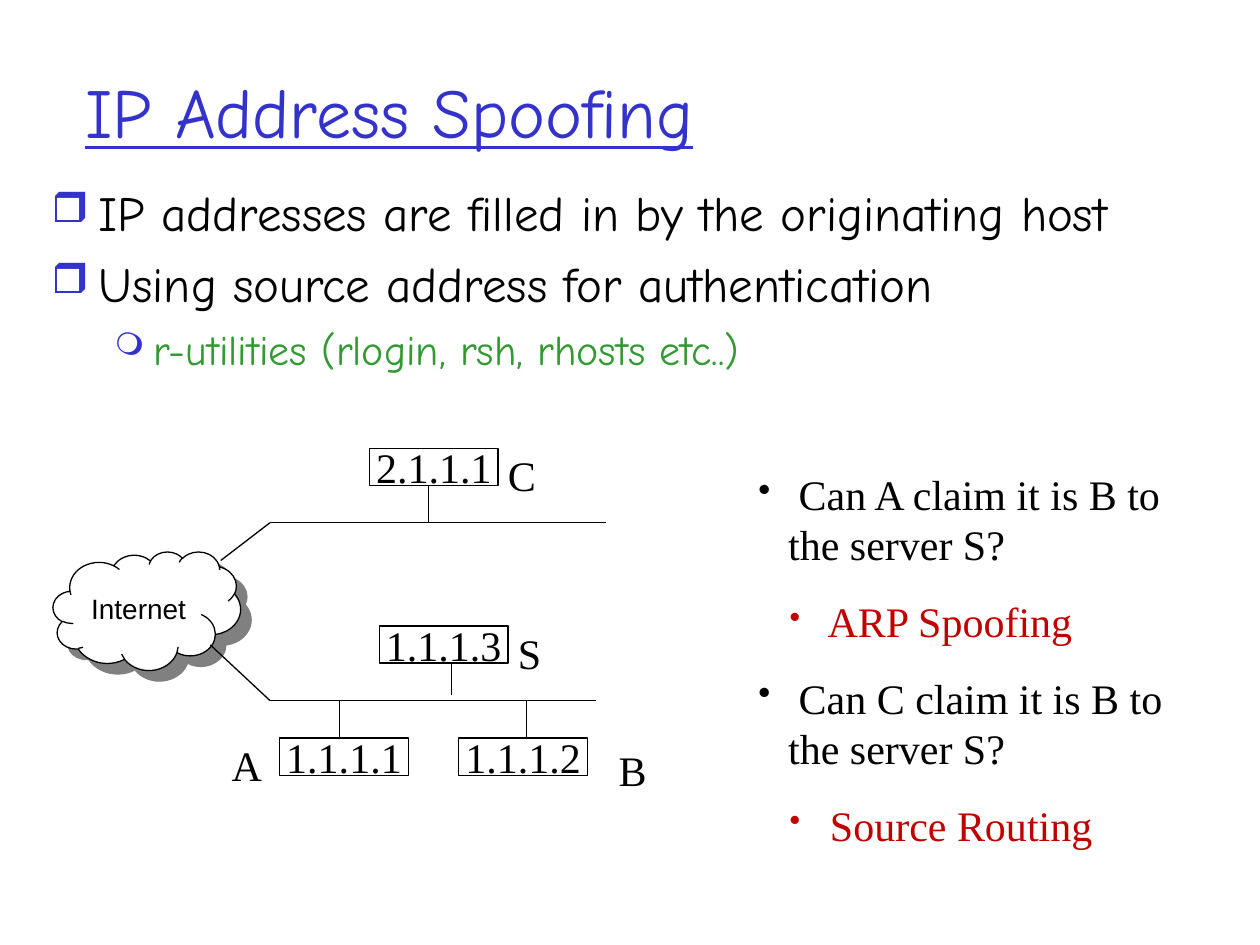
import pptx
import pptx.util
import pptx.dml.color
import pptx.enum.shapes
import pptx.enum.text
import pptx.oxml
import pptx.oxml.ns
from lxml import etree

Cm = pptx.util.Cm
Pt = pptx.util.Pt
RGBColor = pptx.dml.color.RGBColor
SHAPES = pptx.enum.shapes.MSO_SHAPE
ANCHOR = pptx.enum.text.MSO_ANCHOR
ALIGN = pptx.enum.text.PP_ALIGN
qn = pptx.oxml.ns.qn

BLACK = RGBColor(0x00, 0x00, 0x00)
WHITE = RGBColor(0xFF, 0xFF, 0xFF)
GREY = RGBColor(0x80, 0x80, 0x80)
BLUE = RGBColor(0x33, 0x33, 0xCC)
GREEN = RGBColor(0x33, 0x99, 0x33)
RED = RGBColor(0xC0, 0x00, 0x00)

COMIC = "Comic Neue"
TIMES = "Times New Roman"
LINE_WIDTH = Pt(0.74)


def write_text(para, text, color, **formats):
    span = para.add_run()
    span.text = text
    for name, value in formats.items():
        setattr(span.font, name, value)
    span.font.color.rgb = color


def add_text_box(page, left, top, width, height, wrap=True):
    box = page.shapes.add_textbox(Cm(left), Cm(top), Cm(width), Cm(height))
    box.text_frame.word_wrap = wrap
    return box.text_frame


def add_bullet(para, char, color, percent, margin, indent):
    properties = para._p.get_or_add_pPr()
    properties.set("marL", str(Cm(margin)))
    properties.set("indent", str(Cm(indent)))
    bullet_color = etree.SubElement(properties, qn("a:buClr"))
    etree.SubElement(bullet_color, qn("a:srgbClr"), val=str(color))
    etree.SubElement(properties, qn("a:buSzPct"), val=str(percent * 1000))
    etree.SubElement(properties, qn("a:buChar"), char=char)


def add_title(page, left, top, width, height):
    frame = add_text_box(page, left, top, width, height)
    frame.vertical_anchor = ANCHOR.MIDDLE
    write_text(frame.paragraphs[0], "IP Address Spoofing", BLUE,
               name=COMIC, size=Pt(40), underline=True)


def add_bullet_list(page, left, top, width, height, font, levels, items):
    frame = add_text_box(page, left, top, width, height)
    for index, (level, text) in enumerate(items):
        para = frame.paragraphs[0] if index == 0 else frame.add_paragraph()
        style = levels[level]
        para.level = level
        para.space_before = Pt(style["before"])
        add_bullet(para, *style["bullet"])
        write_text(para, text, style["color"], name=font, size=Pt(style["size"]))


def add_outlined(page, kind, left, top, width, height):
    shape = page.shapes.add_shape(kind, Cm(left), Cm(top), Cm(width), Cm(height))
    shape.shadow.inherit = False
    shape.fill.solid()
    shape.fill.fore_color.rgb = WHITE
    shape.line.color.rgb = BLACK
    shape.line.width = LINE_WIDTH
    shape.text_frame.vertical_anchor = ANCHOR.MIDDLE
    shape.text_frame.word_wrap = False
    return shape


def add_cloud(page, left, top, width, height):
    cloud = add_outlined(page, SHAPES.CLOUD, left, top, width, height)
    effects = cloud._element.spPr.find(qn("a:effectLst"))
    shadow = etree.SubElement(effects, qn("a:outerShdw"), dist=str(Pt(8.5)),
                              dir=str(45 * 60000), algn="ctr", rotWithShape="0")
    etree.SubElement(shadow, qn("a:srgbClr"), val=str(GREY))
    para = cloud.text_frame.paragraphs[0]
    para.alignment = ALIGN.LEFT
    write_text(para, "Internet", BLACK, name="Arial", size=Pt(16))


def add_host(page, left, top, address, label, label_x, label_y):
    host = add_outlined(page, SHAPES.RECTANGLE, left, top, 2.59, 0.75)
    para = host.text_frame.paragraphs[0]
    para.alignment = ALIGN.CENTER
    write_text(para, address, BLACK, name=TIMES, size=Pt(24))
    frame = add_text_box(page, left + label_x, top + label_y, 1.07, 1.27, wrap=False)
    write_text(frame.paragraphs[0], label, BLACK, name=TIMES, size=Pt(24))


def add_wire(page, x1, y1, x2, y2):
    wire = page.shapes.add_connector(pptx.enum.shapes.MSO_CONNECTOR.STRAIGHT,
                                     Cm(x1), Cm(y1), Cm(x2), Cm(y2))
    wire.line.color.rgb = BLACK
    wire.line.width = LINE_WIDTH
    etree.SubElement(wire._element.spPr, qn("a:effectLst"))


def add_network(page, left, top):
    bus_start, upper_bus, lower_bus = 4.37, 1.6, 5.18
    lower_hosts = 5.94
    add_cloud(page, left, top + 2.18, 3.78, 2.39)
    wires = [
        (bus_start, upper_bus, 11.15, upper_bus),
        (bus_start, lower_bus, 10.95, lower_bus),
        (bus_start, upper_bus, 3.38, 2.36),
        (3.17, 4.06, bus_start, lower_bus),
        (7.57, 0.85, 7.57, upper_bus),
        (8.03, 4.44, 8.03, 5.08),
        (5.77, lower_bus, 5.77, lower_hosts),
        (9.55, lower_bus, 9.55, lower_hosts),
    ]
    for x1, y1, x2, y2 in wires:
        add_wire(page, left + x1, top + y1, left + x2, top + y2)
    hosts = [
        (6.38, 0.1, "2.1.1.1", "C", 2.54, -0.1),
        (6.58, 3.68, "1.1.1.3", "S", 2.54, -0.1),
        (4.57, lower_hosts, "1.1.1.1", "A", -1.22, -0.1),
        (8.18, lower_hosts, "1.1.1.2", "B", 2.97, 0),
    ]
    for x, y, *details in hosts:
        add_host(page, left + x, top + y, *details)


POINT_LEVELS = [
    {"size": 28, "color": BLACK, "before": 7, "bullet": ("❒", BLUE, 85, 0.95, -0.95)},
    {"size": 24, "color": GREEN, "before": 6, "bullet": ("❍", BLUE, 75, 2.06, -0.79)},
]
QUESTION_LEVELS = [
    {"size": 24, "color": BLACK, "before": 15, "bullet": ("•", BLACK, 85, 0.6, -0.6)},
    {"size": 24, "color": RED, "before": 15, "bullet": ("•", RED, 75, 1.23, -0.6)},
]
POINTS = [
    (0, "IP addresses are filled in by the originating host"),
    (0, "Using source address for authentication"),
    (1, "r-utilities (rlogin, rsh, rhosts etc..)"),
]
QUESTIONS = [
    (0, " Can A claim it is B to the server S?"),
    (1, " ARP Spoofing"),
    (0, " Can C claim it is B to the server S?"),
    (1, " Source Routing"),
]

deck = pptx.Presentation()
deck.slide_width = Cm(25.4)
deck.slide_height = Cm(19.05)
page = deck.slides.add_slide(deck.slide_layouts[6])
add_title(page, 1.47, 0.64, 21.59, 3.18)
add_bullet_list(page, 0.79, 3.56, 24.08, 14.22, COMIC, POINT_LEVELS, POINTS)
add_bullet_list(page, 15.04, 9.32, 9.32, 7.95, TIMES, QUESTION_LEVELS, QUESTIONS)
add_network(page, 1.07, 8.94)
deck.save("out.pptx")
